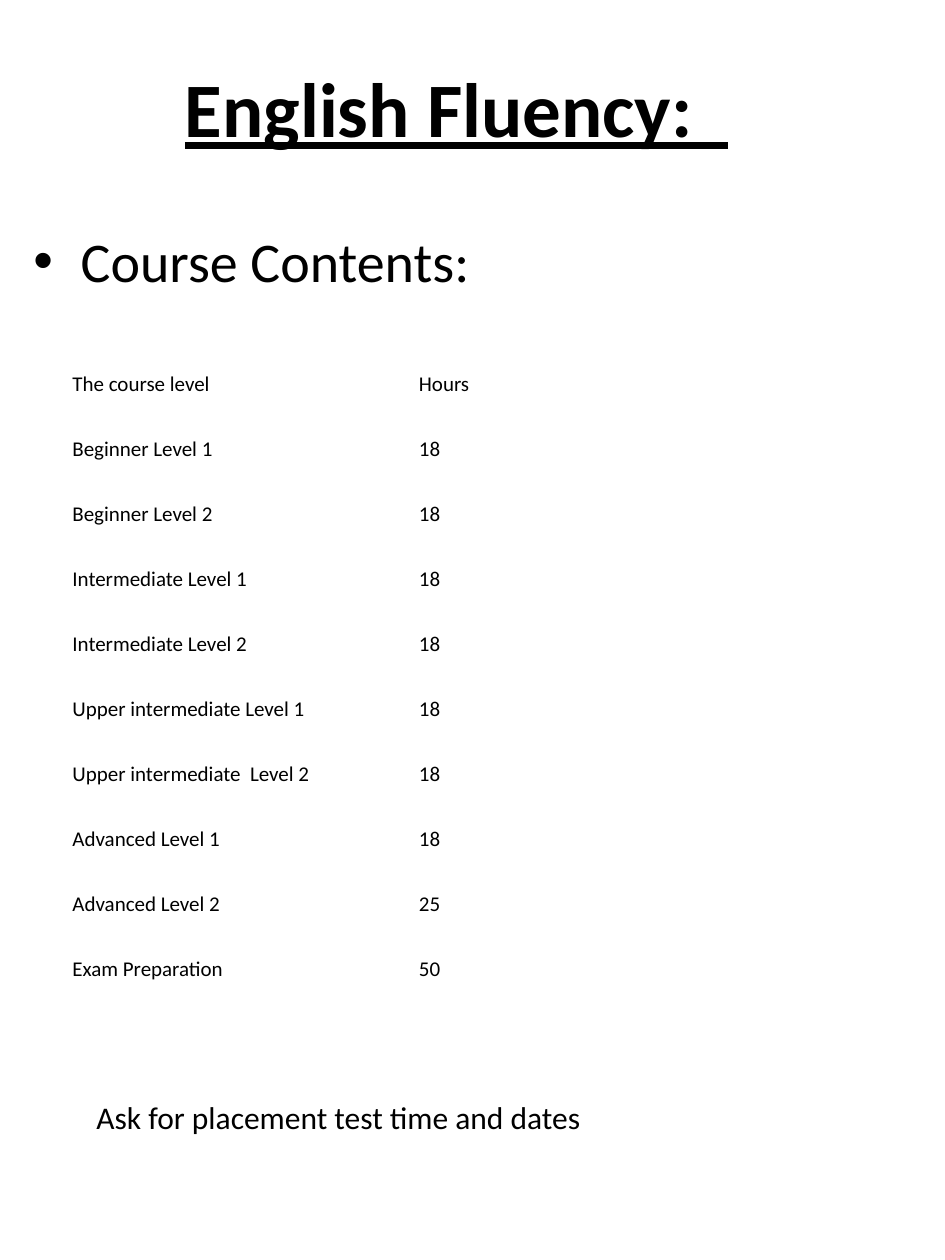
from pptx import Presentation
from pptx.dml.color import RGBColor
from pptx.enum.text import MSO_ANCHOR, PP_ALIGN
from pptx.oxml.xmlchemy import OxmlElement
from pptx.util import Pt

MIDDLE = MSO_ANCHOR.MIDDLE
CENTER = PP_ALIGN.CENTER

# Content
TITLE = "English Fluency:  "
HEAD = "Course Contents:"
NOTE = "Ask for placement test time and dates"
ROWS = [
    ("The course level", "Hours"),
    ("Beginner Level 1", "18"),
    ("Beginner Level 2", "18"),
    ("Intermediate Level 1", "18"),
    ("Intermediate Level 2", "18"),
    ("Upper intermediate Level 1", "18"),
    ("Upper intermediate  Level 2", "18"),
    ("Advanced Level 1", "18"),
    ("Advanced Level 2", "25"),
    ("Exam Preparation", "50"),
]
COLORS = {"text": "000000", "back": "FFFFFF"}
FONT = "Calibri"


def style(para, size):
    for run in para.runs:
        run.font.name = FONT
        run.font.size = Pt(size)
        run.font.color.rgb = RGBColor.from_string(COLORS["text"])


def add_text(slide, text, box, size):
    frame = slide.shapes.add_textbox(*map(Pt, box)).text_frame
    frame.word_wrap = True
    frame.text = text
    para = frame.paragraphs[0]
    style(para, size)
    return frame, para


def add_bullet(para, indent):
    props = para._p.get_or_add_pPr()
    props.set("marL", str(Pt(indent)))
    props.set("indent", str(-Pt(indent)))
    font = OxmlElement("a:buFont")
    font.set("typeface", "Arial")
    mark = OxmlElement("a:buChar")
    mark.set("char", "•")
    props.extend([font, mark])


def add_grid(slide, rows, box):
    shape = slide.shapes.add_table(len(rows), len(rows[0]), *map(Pt, box))
    table = shape.table
    table.first_row = table.horz_banding = False
    for line, row in zip(table.rows, rows):
        line.height = Pt(box[3] / len(rows))
        for cell, text in zip(line.cells, row):
            cell.fill.background()
            cell.margin_left = cell.margin_right = Pt(5.4)
            cell.margin_top = cell.margin_bottom = Pt(0)
            cell.text = text
            para = cell.text_frame.paragraphs[0]
            para.line_spacing = 1.15
            style(para, 12)


def main():
    deck = Presentation()
    deck.slide_width, deck.slide_height = Pt(540), Pt(720)
    slide = deck.slides.add_slide(deck.slide_layouts[6])
    slide.background.fill.solid()
    slide.background.fill.fore_color.rgb = RGBColor.from_string(COLORS["back"])

    # Title
    frame, para = add_text(slide, TITLE, (18, 1, 486, 120), 44)
    frame.vertical_anchor = MIDDLE
    para.alignment = CENTER
    font = para.runs[0].font
    font.bold = font.underline = True

    # Bulleted heading
    frame, para = add_text(slide, HEAD, (12, 126, 483, 54), 32)
    para.space_before = Pt(6.4)
    add_bullet(para, 27)

    # Course table
    add_grid(slide, ROWS, (36, 210, 396, 372))

    # Closing note
    add_text(slide, NOTE, (48, 624, 384, 29), 18)

    deck.save("out.pptx")


if __name__ == "__main__":
    main()
